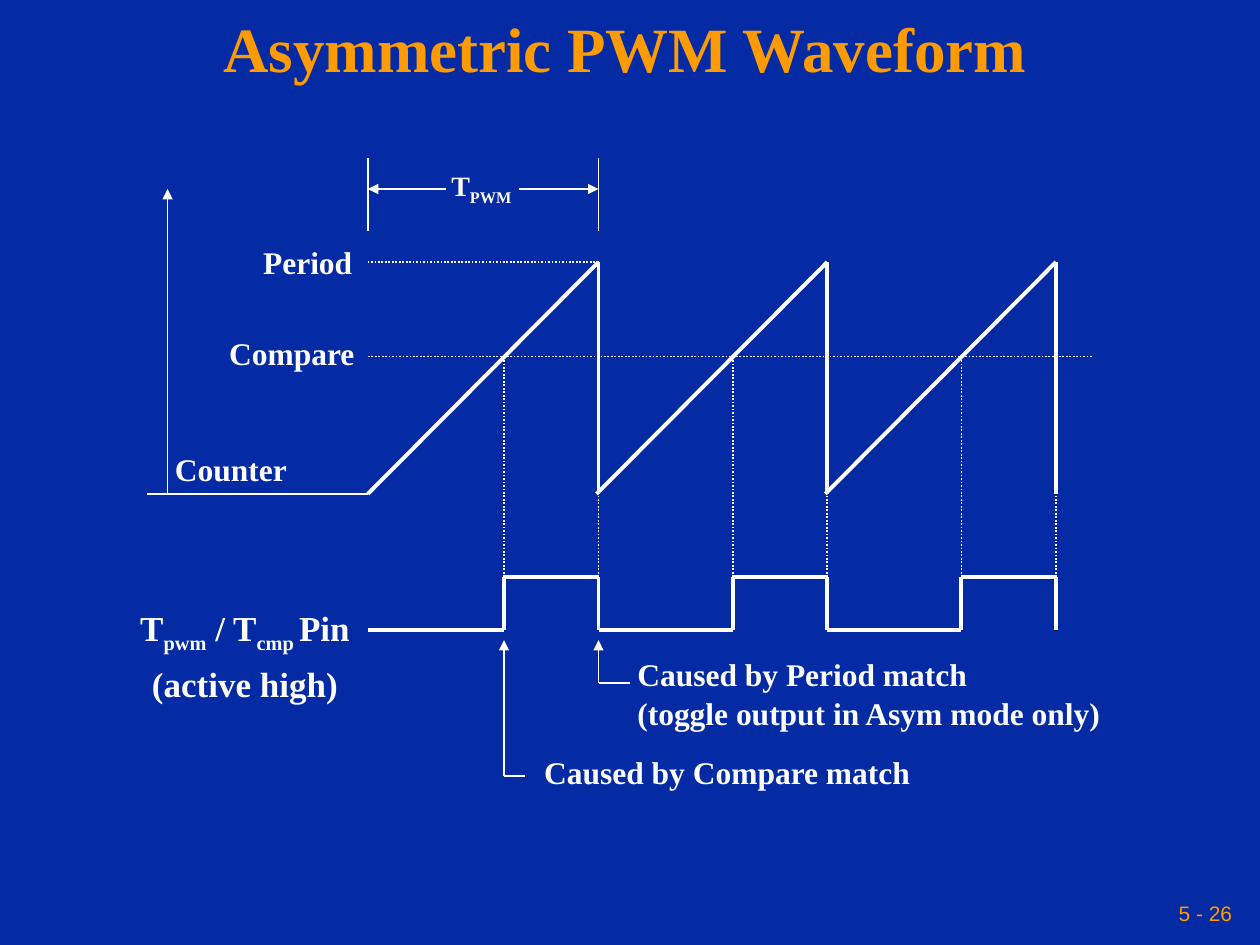
import pptx
import pptx.dml.color
import pptx.enum.dml
import pptx.enum.shapes
import pptx.enum.text
import pptx.oxml
import pptx.util
from pptx.util import Inches

WHITE = "FFFFFF"
ORANGE = "FE9B03"
SERIF = "Times New Roman"
THICK = 2.25
THIN = 1
CYCLES = 3
CYCLE = (8.38 - 4.75) / 2
RAMP = 1.83
MATCH = 1.08
PULSE = 0.75
ALIGN = pptx.enum.text.PP_ALIGN


def color(value):
    """Turn a hex string into a colour."""
    return pptx.dml.color.RGBColor.from_string(value)


def append_xml(parent, tag, attributes=""):
    """Append an empty drawing element to a parent."""
    namespace = pptx.oxml.ns.nsdecls("a")
    parent.append(pptx.oxml.parse_xml(f"<a:{tag} {namespace} {attributes}/>"))


def draw_line(shapes, start, end, width=THIN, dotted=False, arrow=False):
    """Draw a white line whose arrowhead, if any, sits at its end."""
    ends = [Inches(value) for value in (*start, *end)]
    line = shapes.add_connector(pptx.enum.shapes.MSO_CONNECTOR.STRAIGHT, *ends)
    line.line.color.rgb = color(WHITE)
    line.line.width = pptx.util.Pt(width)
    if dotted:
        line.line.dash_style = pptx.enum.dml.MSO_LINE.ROUND_DOT
    if arrow:
        append_xml(line.line._get_or_add_ln(), "tailEnd", 'type="triangle"')
    append_xml(line._element.spPr, "effectLst")


def format_para(para, size, fill, name, bold, align, spacing):
    """Set the font and layout of a paragraph."""
    para.alignment = align
    para.line_spacing = spacing
    para.font.size = pptx.util.Pt(size)
    para.font.bold = bold
    para.font.name = name
    para.font.color.rgb = color(fill)


def add_label(page, box, lines, size=18, spacing=0.8, align=ALIGN.LEFT, gap=11.2):
    """Add a bold label; each line is a list of normal and subscript texts in turn."""
    label = page.shapes.add_textbox(*[Inches(value) for value in box])
    frame = label.text_frame
    frame.word_wrap = False
    frame.auto_size = pptx.enum.text.MSO_AUTO_SIZE.SHAPE_TO_FIT_TEXT
    for number, texts in enumerate(lines):
        para = frame.add_paragraph() if number else frame.paragraphs[0]
        format_para(para, size, WHITE, SERIF, True, align, spacing)
        if number:
            para.space_before = pptx.util.Pt(gap)
        for index, text in enumerate(texts):
            span = para.add_run()
            span.text = text
            if index % 2:
                span._r.get_or_add_rPr().set("baseline", "-25000")


def set_margins(frame):
    """Centre text vertically within narrow margins."""
    frame.vertical_anchor = pptx.enum.text.MSO_ANCHOR.MIDDLE
    frame.margin_left = frame.margin_right = Inches(0.05)
    frame.margin_top = frame.margin_bottom = Inches(0.05)
    frame.word_wrap = True


def add_title(page, left, top, width, height):
    """Fill and place the title placeholder."""
    title = page.shapes.title
    title.left, title.top = Inches(left), Inches(top)
    title.width, title.height = Inches(width), Inches(height)
    title.text_frame.text = "Asymmetric PWM Waveform"
    set_margins(title.text_frame)
    format_para(title.text_frame.paragraphs[0], 36, ORANGE, SERIF, True, ALIGN.CENTER, 0.9)


def add_page_number(page, left, top, width, height):
    """Add the page number at the lower right."""
    box = page.shapes.add_textbox(*[Inches(value) for value in (left, top, width, height)])
    box.text_frame.text = "5 - 26"
    set_margins(box.text_frame)
    format_para(box.text_frame.paragraphs[0], 12, ORANGE, "Arial", False, ALIGN.RIGHT, 1.0)


def add_counter(page, left, top, height):
    """Draw the counter sawtooth with its axis, levels and labels."""
    bottom = top + height
    compare = top + 0.75
    group = page.shapes.add_group_shape().shapes
    for cycle in range(CYCLES):
        peak = left + RAMP + cycle * CYCLE
        draw_line(group, (peak - RAMP, bottom), (peak, top), THICK)
        draw_line(group, (peak, top), (peak, bottom), THICK)
    draw_line(page.shapes, (left, bottom), (left - 1.75, bottom))
    draw_line(page.shapes, (left - 1.59, bottom), (left - 1.59, top - 0.58), arrow=True)
    draw_line(page.shapes, (left + RAMP, top), (left, top), dotted=True)
    draw_line(page.shapes, (left, compare), (left + 5.75, compare), dotted=True)
    add_label(page, (left - 1.63, bottom - 0.34, 1.09, 0.34), [["Counter"]])
    add_label(page, (left - 0.93, top - 0.14, 0.91, 0.34), [["Period"]])
    add_label(page, (left - 1.2, compare - 0.17, 1.2, 0.34), [["Compare"]])


def add_guides(page, left, top, height):
    """Drop dotted lines from the compare and period matches."""
    group = page.shapes.add_group_shape().shapes
    for cycle in range(CYCLES):
        rise = left + MATCH + cycle * CYCLE
        for x, start in ((rise, top), (rise + PULSE, top + 0.91)):
            draw_line(group, (x, start), (x, top + height), dotted=True)


def add_output(page, left, top, height):
    """Draw the output pulses and name the pin."""
    bottom = top + height
    group = page.shapes.add_group_shape().shapes
    low_start = left
    for cycle in range(CYCLES):
        rise = left + MATCH + cycle * CYCLE
        fall = rise + PULSE
        corners = [(low_start, bottom), (rise, bottom), (rise, top), (fall, top), (fall, bottom)]
        for start, end in zip(corners, corners[1:]):
            draw_line(group, start, end, THICK)
        low_start = fall
    pin = [["T", "pwm", " / T", "cmp ", "Pin"], ["(active high)"]]
    add_label(page, (left - 1.91, top + 0.22, 1.87, 0.85), pin, 20, 0.8, ALIGN.CENTER, 12.5)


def add_callout(page, left, top, height, reach):
    """Draw an elbow that points up from a note."""
    bottom = top + height
    draw_line(page.shapes, (left, bottom), (left, top), arrow=True)
    draw_line(page.shapes, (left, bottom), (left + reach, bottom))


def add_causes(page, left, top):
    """Explain what causes the two output edges."""
    period = [["Caused by Period match"], ["(toggle output in Asym mode only)"]]
    add_label(page, (left + 0.96, top + 0.2, 3.89, 0.56), period, spacing=0.5)
    add_label(page, (left + 0.22, top + 0.88, 3.11, 0.37), [["Caused by Compare match"]], spacing=0.9)
    add_callout(page, left + PULSE, top, 0.34, 0.25)
    add_callout(page, left, top, 1.08, 0.17)


def add_period_measure(page, left, top, height):
    """Draw the dimension arrows over the first period."""
    right = left + RAMP
    middle = top + 0.25
    group = page.shapes.add_group_shape().shapes
    for edge, inner in ((left, left + 0.62), (right, right - 0.63)):
        draw_line(group, (edge, top + height), (edge, top))
        draw_line(group, (inner, middle), (edge, middle), arrow=True)
    add_label(page, (left + 0.5, top + 0.04, 0.8, 0.41), [["T", "PWM"]], 16, 1.0, ALIGN.CENTER)


def main():
    """Build the slide and save the deck."""
    deck = pptx.Presentation()
    deck.slide_width, deck.slide_height = Inches(10), Inches(7.5)
    page = deck.slides.add_slide(deck.slide_layouts[5])
    page.background.fill.solid()
    page.background.fill.fore_color.rgb = color("042AA4")
    add_page_number(page, 6.83, 7.08, 3, 0.33)
    add_title(page, 0, 0, 9.92, 0.83)
    add_counter(page, 2.92, 2.08, 1.84)
    add_guides(page, 2.92, 2.83, 1.75)
    add_output(page, 2.92, 4.58, 0.42)
    add_causes(page, 4, 5.08)
    add_period_measure(page, 2.92, 1.25, 0.58)
    deck.save("out.pptx")


if __name__ == "__main__":
    main()
